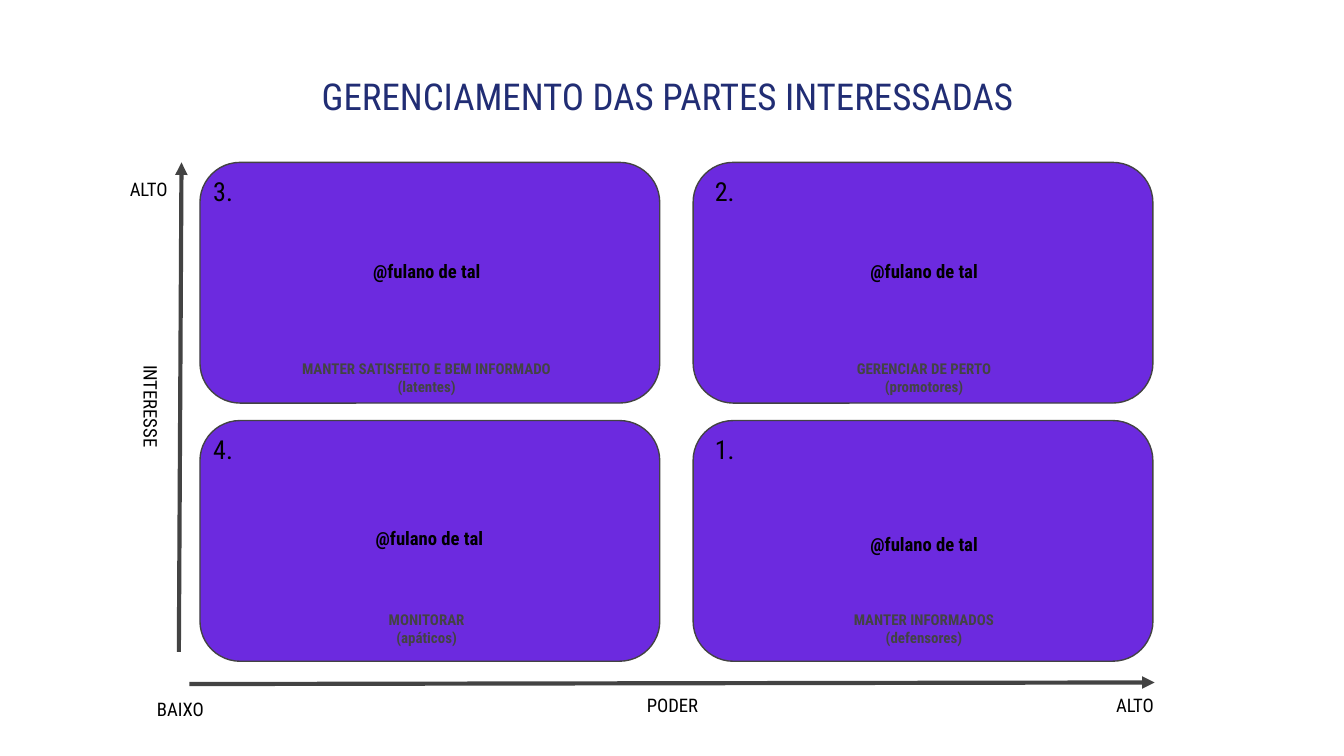
"""Build a stakeholder management slide with a power and interest matrix."""
from lxml.etree import SubElement
from pptx import Presentation
from pptx.dml.color import RGBColor
from pptx.enum.shapes import MSO_CONNECTOR, MSO_SHAPE
from pptx.enum.text import MSO_ANCHOR, PP_ALIGN
from pptx.oxml.ns import qn
from pptx.util import Cm, Pt

FONT = "Roboto Condensed"
NAVY, PURPLE, GRAY, BLACK = "212D74", "6C2ADF", "434343", "000000"

TITLE = "GERENCIAMENTO DAS PARTES INTERESSADAS "
PERSON = "@fulano de tal"
QUADRANTS = [
    {"number": "3.", "column": 0, "row": 0, "person_at": (4.93, 4.7),
     "strategy": "MANTER SATISFEITO E BEM INFORMADO\n(latentes)"},
    {"number": "2.", "column": 1, "row": 0, "person_at": (14.33, 4.7),
     "strategy": "GERENCIAR DE PERTO\n(promotores)"},
    {"number": "4.", "column": 0, "row": 1, "person_at": (4.98, 9.75),
     "strategy": "MONITORAR\n(apáticos)"},
    {"number": "1.", "column": 1, "row": 1, "person_at": (14.33, 9.86),
     "strategy": "MANTER INFORMADOS\n(defensores)"},
]
AXIS_LABELS = [
    ("INTERESSE", 1.3, 7.21, 90),
    ("PODER", 11.2, 12.9, 0),
    ("ALTO", 1.3, 3.15, 0),
    ("ALTO", 19.94, 12.9, 0),
    ("BAIXO", 1.9, 12.98, 0),
]
AXES = [(3.38, 12.32, 3.43, 3.07), (3.58, 12.93, 21.82, 12.9)]

CARD_LEFT, CARD_TOP, CARD_WIDTH, CARD_HEIGHT = 3.78, 3.07, 8.69, 4.55
COLUMN_STEP, ROW_STEP = 9.32, 4.88
NUMBER_LEFTS = (3.78, 13.26)
STRATEGY_LEFTS, STRATEGY_TOPS = (4.93, 14.33), (6.55, 11.3)
LABEL_WIDTH, PERSON_WIDTH, LINE_HEIGHT = 3.02, 6.27, 0.94


def color(code):
    return RGBColor.from_string(code)


def add_text(slide, text, left, top, width, height, size=10, ink=BLACK,
             bold=False, align=PP_ALIGN.CENTER, rotation=0):
    box = slide.shapes.add_textbox(Cm(left), Cm(top), Cm(width), Cm(height))
    box.rotation = rotation
    frame = box.text_frame
    frame.word_wrap = True
    frame.vertical_anchor = MSO_ANCHOR.TOP
    frame.margin_left = frame.margin_right = Cm(0.25)
    frame.margin_top = frame.margin_bottom = Cm(0.25)
    frame.text = text
    for paragraph in frame.paragraphs:
        paragraph.alignment = align
        font = paragraph.runs[0].font
        font.name, font.size, font.bold = FONT, Pt(size), bold
        font.color.rgb = color(ink)


def add_card(slide, column, row):
    card = slide.shapes.add_shape(
        MSO_SHAPE.ROUNDED_RECTANGLE,
        Cm(CARD_LEFT + column * COLUMN_STEP), Cm(CARD_TOP + row * ROW_STEP),
        Cm(CARD_WIDTH), Cm(CARD_HEIGHT))
    card.shadow.inherit = False
    card.fill.solid()
    card.fill.fore_color.rgb = color(PURPLE)
    card.line.color.rgb = color(GRAY)
    card.line.width = Pt(0.75)


def add_axis(slide, ends):
    axis = slide.shapes.add_connector(MSO_CONNECTOR.STRAIGHT, *map(Cm, ends))
    axis.line.color.rgb = color(GRAY)
    axis.line.width = Pt(2.25)
    SubElement(axis.line._get_or_add_ln(), qn("a:tailEnd"), type="triangle")
    SubElement(axis._element.spPr, qn("a:effectLst"))


def main():
    deck = Presentation()
    deck.slide_width, deck.slide_height = Cm(25.4), Cm(14.29)
    slide = deck.slides.add_slide(deck.slide_layouts[6])

    add_text(slide, TITLE, 0.86, 1.14, 23.67, 1.68, size=19.8, ink=NAVY)
    for quadrant in QUADRANTS:
        column, row = quadrant["column"], quadrant["row"]
        add_card(slide, column, row)
        add_text(slide, quadrant["number"], NUMBER_LEFTS[column],
                 CARD_TOP + row * ROW_STEP, 0.94, 1.12, size=14,
                 align=PP_ALIGN.LEFT)
        add_text(slide, quadrant["strategy"], STRATEGY_LEFTS[column],
                 STRATEGY_TOPS[row], PERSON_WIDTH, 1.19, size=8, ink=GRAY,
                 bold=True)
        add_text(slide, PERSON, *quadrant["person_at"], PERSON_WIDTH,
                 LINE_HEIGHT, bold=True)
    for ends in AXES:
        add_axis(slide, ends)
    for label, left, top, rotation in AXIS_LABELS:
        add_text(slide, label, left, top, LABEL_WIDTH, LINE_HEIGHT,
                 rotation=rotation)

    deck.save("out.pptx")


if __name__ == "__main__":
    main()
